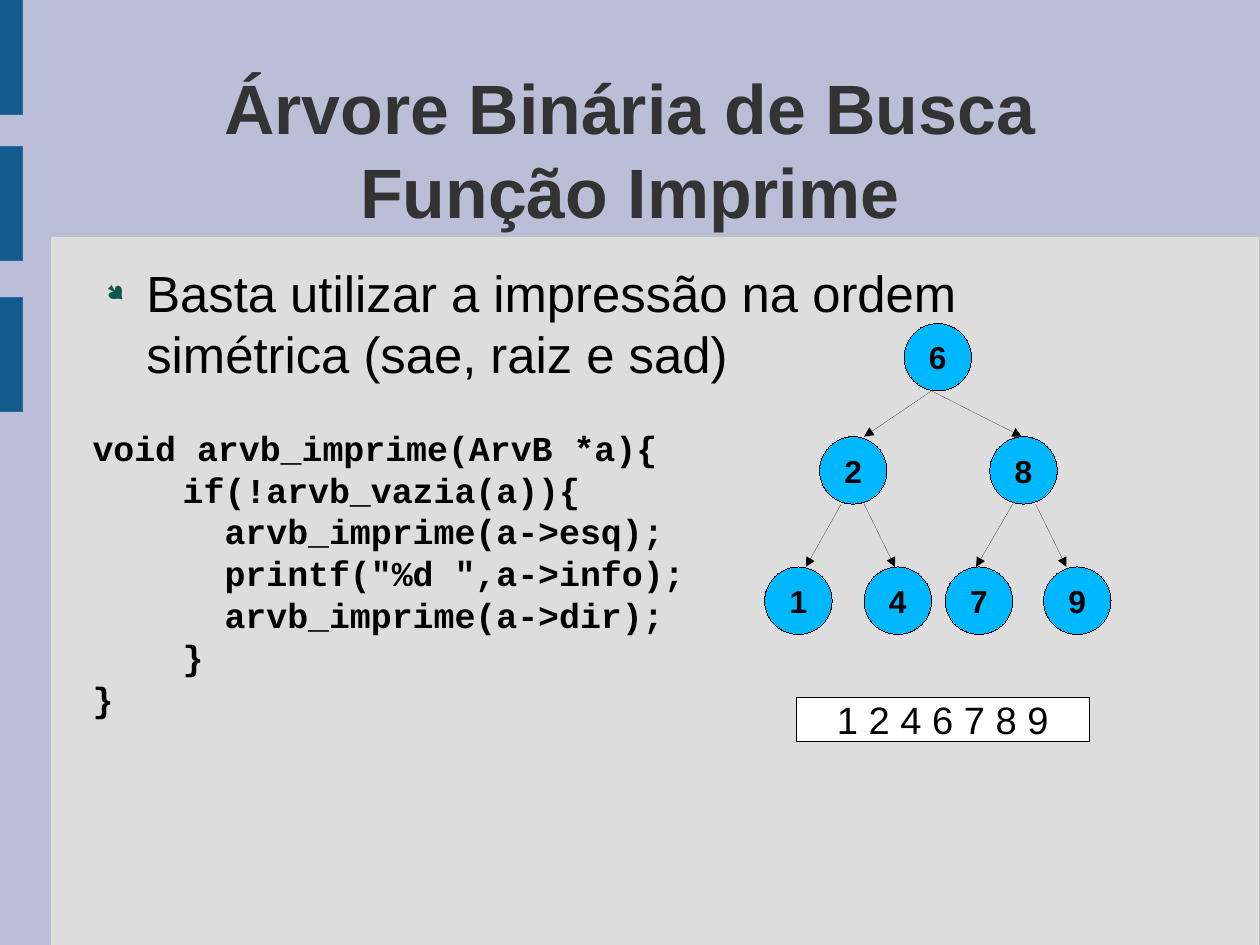
from lxml.etree import SubElement as Sub
from pptx import Presentation
from pptx.dml.color import RGBColor as RGB
from pptx.enum.shapes import MSO_CONNECTOR as CONN, MSO_SHAPE as SHAPE
from pptx.enum.text import MSO_ANCHOR as ANCHOR, MSO_AUTO_SIZE as AUTO, PP_ALIGN as ALIGN
from pptx.oxml.ns import qn
from pptx.util import Cm, Inches, Pt

TITLE = "Árvore Binária de Busca\nFunção Imprime"
POINT = "Basta utilizar a impressão na ordem simétrica (sae, raiz e sad)"
CODE = """void arvb_imprime(ArvB *a){
   if(!arvb_vazia(a)){
     arvb_imprime(a->esq);
     printf("%d ",a->info);
     arvb_imprime(a->dir);
   }
}"""
ORDER = "1 2 4 6 7 8 9"
LEVELS = [
    (2.83, [("6", 7.91)]),
    (3.82, [("2", 7.17), ("8", 8.66)]),
    (4.96, [("1", 6.69), ("4", 7.56), ("7", 8.27), ("9", 9.13)]),
]
EDGES = [
    [(8.15, 7.56), (8.15, 8.94)],
    [(7.36, 7.05), (7.56, 7.83), (8.86, 8.54), (9.06, 9.33)],
]
BARS = [0, 1.28, 2.6]
COLORS = dict(back="BABED6", panel="DDDDDD", edge="C0C0C0", bar="125C8D", rim="3465A4",
              title="333333", ink="000000", dot="0E594D", node="00B8FF", white="FFFFFF")
WIDE, HIGH = Cm(28), Cm(21)
NODE = 0.59
LEFT, SPAN = 0.81, 9.41
INDENT = 0.24


def tint(name):
    return RGB.from_string(COLORS[name])


def write(shape, text, size, font="Arial", color="ink", bold=False,
          align=ALIGN.CENTER, anchor=ANCHOR.MIDDLE, pitch=None):
    frame = shape.text_frame
    frame.word_wrap = True
    frame.auto_size = AUTO.NONE
    frame.vertical_anchor = anchor
    frame.margin_left = frame.margin_right = frame.margin_top = frame.margin_bottom = 0
    para = frame.paragraphs[0]
    para.text = text
    style(para, size, font, color, bold, align, pitch)
    return frame


def style(para, size, font, color, bold, align, pitch):
    para.alignment = align
    para.space_before = Pt(0)
    if pitch:
        para.line_spacing = Pt(pitch)
    for run in para.runs:
        run.font.size, run.font.name, run.font.bold = Pt(size), font, bold
        run.font.color.rgb = tint(color)


def hair(shape, color):
    shape.line.color.rgb = tint(color)
    edge = shape._element.spPr.find(qn("a:ln"))
    edge.set("w", "0")
    return edge


def draw(home, kind, box, fill, rim):
    shape = home.add_shape(kind, *map(Inches, box))
    shape.shadow.inherit = False
    shape.fill.solid()
    shape.fill.fore_color.rgb = tint(fill)
    hair(shape, rim)
    return shape


def arrow(home, x1, y1, x2, y2):
    link = home.add_connector(CONN.STRAIGHT, *map(Inches, (x1, y1, x2, y2)))
    Sub(hair(link, "ink"), qn("a:tailEnd"), type="triangle")
    Sub(link._element.spPr, qn("a:effectLst"))


def bullet(para):
    props = para._p.get_or_add_pPr()
    props.set("marL", str(Inches(0.47)))
    props.set("indent", str(Inches(-0.35)))
    Sub(Sub(props, qn("a:buClr")), qn("a:srgbClr"), val=COLORS["dot"])
    Sub(props, qn("a:buSzPct"), val="45000")
    Sub(props, qn("a:buFont"), typeface="Wingdings", charset="2")
    Sub(props, qn("a:buChar"), char="●")


def main():
    deck = Presentation()
    deck.slide_width, deck.slide_height = WIDE, HIGH
    slide = deck.slides.add_slide(deck.slide_layouts[5])
    slide.background.fill.solid()
    slide.background.fill.fore_color.rgb = tint("back")
    parts = slide.shapes

    draw(parts, SHAPE.RECTANGLE, (0.44, 2.07, 10.58, 6.2), "panel", "edge")
    for top in BARS:
        draw(parts, SHAPE.RECTANGLE, (0, top, 0.2, 1), "bar", "rim")

    title = parts.title
    title.left, title.top, title.width, title.height = map(Inches, (LEFT, 0.56, SPAN, 1.47))
    write(title, TITLE, 44, color="title", bold=True, pitch=52.9)

    point = parts.add_textbox(*map(Inches, (LEFT, 2.29, SPAN, 1.1)))
    frame = write(point, POINT, 32, align=ALIGN.LEFT, anchor=ANCHOR.TOP, pitch=38.4)
    bullet(frame.paragraphs[0])

    code = parts.add_textbox(*map(Inches, (LEFT, 3.73, 5.7, 2.6)))
    look = dict(size=22, font="Courier New", color="ink", bold=True, align=ALIGN.LEFT, pitch=26.4)
    first, *rest = CODE.split("\n")
    frame = write(code, first, anchor=ANCHOR.TOP, **look)
    for line in rest:
        para = frame.add_paragraph()
        para.text = line
        style(para, **look)
        if line.startswith(" "):
            para._p.get_or_add_pPr().set("marL", str(Inches(INDENT)))

    tree = parts.add_group_shape().shapes
    for (top, _), (low, _), edges in zip(LEVELS, LEVELS[1:], EDGES):
        for start, end in edges:
            arrow(tree, start, top + NODE, end, low)
    for top, nodes in LEVELS:
        for key, left in nodes:
            node = draw(tree, SHAPE.OVAL, (left, top, NODE, NODE), "node", "ink")
            write(node, key, 20, bold=True)

    order = draw(parts, SHAPE.RECTANGLE, (6.97, 6.1, 2.56, 0.39), "white", "ink")
    write(order, ORDER, 24)
    deck.save("out.pptx")


if __name__ == "__main__":
    main()
